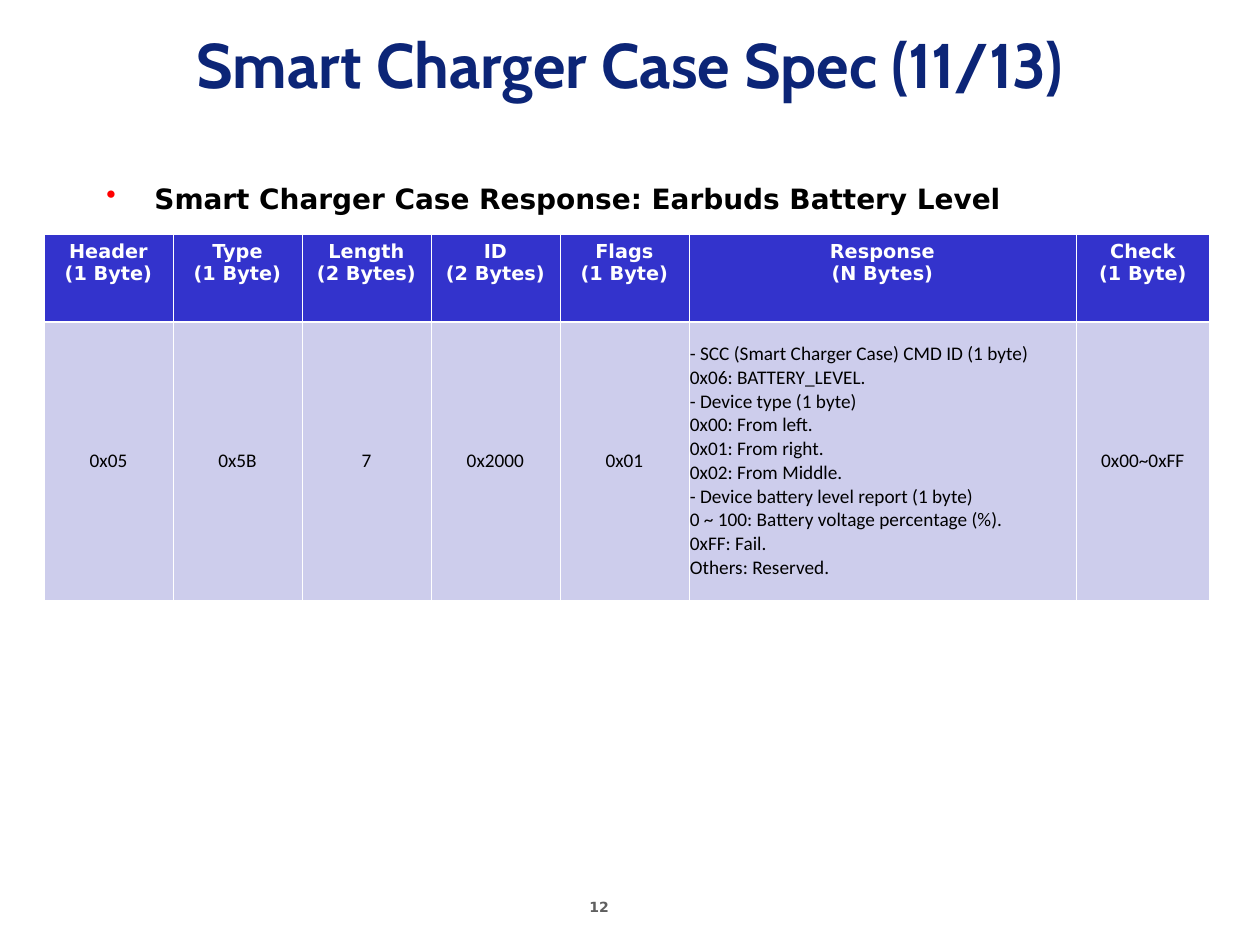
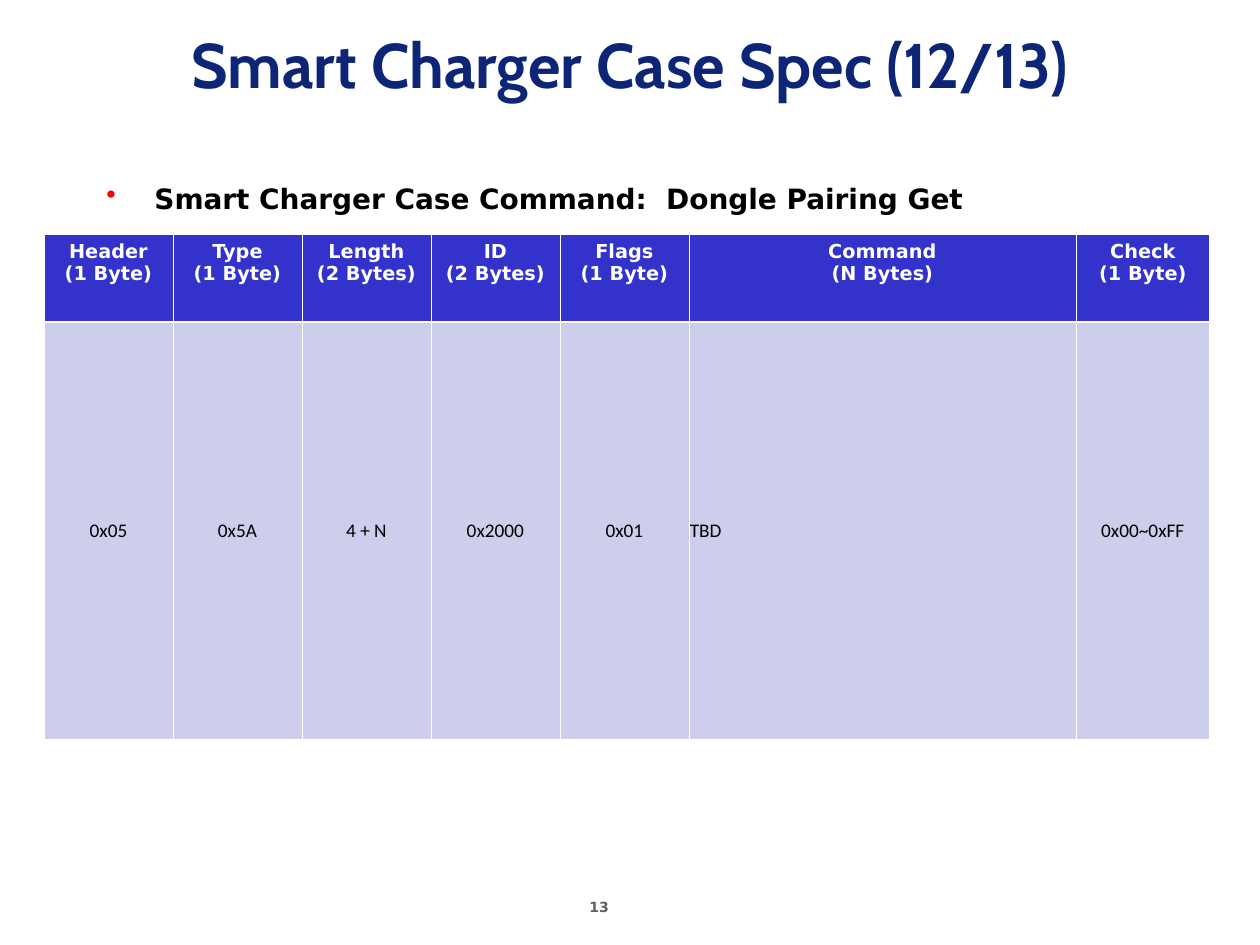
"""Build two slides that specify the messages of a smart charger case."""
from lxml import etree
from pptx import Presentation
from pptx.dml.color import RGBColor
from pptx.enum.text import MSO_ANCHOR, PP_ALIGN
from pptx.oxml.ns import qn
from pptx.util import Pt

CENTER, LEFT = PP_ALIGN.CENTER, PP_ALIGN.LEFT
TOP, MIDDLE = MSO_ANCHOR.TOP, MSO_ANCHOR.MIDDLE
BLANK_LAYOUT = 6
PX_PER_INCH = 126
EMU_PER_PX = 914400 / PX_PER_INCH

COLUMN_WIDTHS = [129] * 5 + [387, 134]
PAYLOAD_COLUMN = 5
HEADER_HEIGHT = 88
THIN, THICK = 0.45, 1.47

BATTERY_PAYLOAD = """- SCC (Smart Charger Case) CMD ID (1 byte)
0x06: BATTERY_LEVEL.
- Device type (1 byte)
0x00: From left.
0x01: From right.
0x02: From Middle.
- Device battery level report (1 byte)
0 ~ 100: Battery voltage percentage (%).
0xFF: Fail.
Others: Reserved."""

MESSAGES = [
    {
        "part": 11,
        "heading": "Smart Charger Case Response: Earbuds Battery Level",
        "payload_name": "Response",
        "values": ["0x05", "0x5B", "7", "0x2000", "0x01", BATTERY_PAYLOAD, "0x00~0xFF"],
        "value_height": 278,
    },
    {
        "part": 12,
        "heading": "Smart Charger Case Command:  Dongle Pairing Get",
        "payload_name": "Command",
        "values": ["0x05", "0x5A", "4 + N", "0x2000", "0x01", "TBD", "0x00~0xFF"],
        "value_height": 417,
    },
]


def px(length):
    """Turn px into EMU."""
    return round(length * EMU_PER_PX)


def rgb(color):
    """Turn a hex string into a colour."""
    return RGBColor.from_string(color)


def apply_formats(target, formats):
    """Set every attribute named in a dict of format values."""
    for name, value in formats.items():
        setattr(target, name, value)


class SpecDeck:
    """Hold the shared style and the current slide."""

    WHITE, NAVY, RED = "FFFFFF", "0C2577", "FF0000"
    HEADER_FILL, VALUE_FILL = "3333CC", "CDCDEC"
    FONTS = {
        "title": ({"name": "Cabin", "size": Pt(36), "bold": True}, NAVY),
        "heading": ({"name": "DejaVu Sans", "size": Pt(16), "bold": True}, "000000"),
        "number": ({"name": "DejaVu Sans", "size": Pt(8), "bold": True}, "5F5F5F"),
        "header": ({"name": "DejaVu Sans", "size": Pt(11), "bold": True}, WHITE),
        "value": ({"name": "Calibri", "size": Pt(11), "bold": False}, "000000"),
    }

    def __init__(self):
        """Start an empty deck."""
        self.deck = Presentation()
        apply_formats(self.deck, {"slide_width": px(1260), "slide_height": px(945)})
        self.page = None

    def add_page(self):
        """Add a blank slide and make it current."""
        self.page = self.deck.slides.add_slide(self.deck.slide_layouts[BLANK_LAYOUT])

    def fill_text(self, frame, text, style, align=LEFT):
        """Fill a text frame with one paragraph per line."""
        frame.text = text
        formats, color = self.FONTS[style]
        for para in frame.paragraphs:
            para.alignment = align
            for span in para.runs:
                apply_formats(span.font, formats)
                span.font.color.rgb = rgb(color)

    def add_text(self, text, place, style, align=LEFT, anchor=TOP, wrap=True):
        """Add a text box and return it."""
        box = self.page.shapes.add_textbox(*map(px, place))
        apply_formats(box.text_frame, {"word_wrap": wrap, "vertical_anchor": anchor})
        self.fill_text(box.text_frame, text, style, align)
        return box

    def add_title(self, text):
        """Add the slide title."""
        self.add_text(text, (0, 0, 1260, 126), "title", CENTER, MIDDLE)

    def add_heading(self, text):
        """Add the bulleted heading."""
        box = self.add_text(text, (94, 175, 1166, 651), "heading")
        para = box.text_frame.paragraphs[0]
        para.space_before = Pt(4)
        properties = para._p.get_or_add_pPr()
        properties.set("marL", str(px(48)))
        properties.set("indent", str(-px(48)))
        bullet_color = etree.SubElement(properties, qn("a:buClr"))
        etree.SubElement(bullet_color, qn("a:srgbClr"), val=self.RED)
        etree.SubElement(properties, qn("a:buChar"), char="•")

    def add_number(self, number):
        """Add the page number."""
        self.add_text(str(number), (577, 892, 97, 33), "number", wrap=False)

    def style_cell(self, cell, fill, top, bottom):
        """Give a cell its white borders and its fill."""
        properties = cell._tc.get_or_add_tcPr()
        for side, width in {"L": THIN, "R": THIN, "T": top, "B": bottom}.items():
            line = etree.SubElement(properties, qn(f"a:ln{side}"), w=str(Pt(width)))
            solid = etree.SubElement(line, qn("a:solidFill"))
            etree.SubElement(solid, qn("a:srgbClr"), val=self.WHITE)
        cell.fill.solid()
        cell.fill.fore_color.rgb = rgb(fill)

    def add_message_table(self, headers, values, value_height):
        """Add the table of message fields."""
        heights = [HEADER_HEIGHT, value_height]
        place = (44, 234, sum(COLUMN_WIDTHS), sum(heights))
        table = self.page.shapes.add_table(2, len(headers), *map(px, place)).table
        table.horz_banding = False
        for row, height in zip(table.rows, heights):
            row.height = px(height)
        for index, width in enumerate(COLUMN_WIDTHS):
            table.columns[index].width = px(width)
            header, value = table.cell(0, index), table.cell(1, index)
            self.style_cell(header, self.HEADER_FILL, THIN, THICK)
            self.fill_text(header.text_frame, headers[index], "header", CENTER)
            self.style_cell(value, self.VALUE_FILL, THICK, THIN)
            margins = {"margin_left": px(1), "margin_right": px(1)}
            apply_formats(value, {"vertical_anchor": MIDDLE, **margins})
            align = LEFT if index == PAYLOAD_COLUMN else CENTER
            self.fill_text(value.text_frame, values[index], "value", align)


def main():
    """Build and save the deck."""
    spec_deck = SpecDeck()
    for message in MESSAGES:
        fields = {
            "Header": "1 Byte", "Type": "1 Byte", "Length": "2 Bytes", "ID": "2 Bytes",
            "Flags": "1 Byte", message["payload_name"]: "N Bytes", "Check": "1 Byte",
        }
        headers = [f"{name}\n({size})" for name, size in fields.items()]
        spec_deck.add_page()
        spec_deck.add_number(message["part"] + 1)
        spec_deck.add_title(f"Smart Charger Case Spec ({message['part']}/13)")
        spec_deck.add_heading(message["heading"])
        spec_deck.add_message_table(headers, message["values"], message["value_height"])
    spec_deck.deck.save("out.pptx")


if __name__ == "__main__":
    main()
